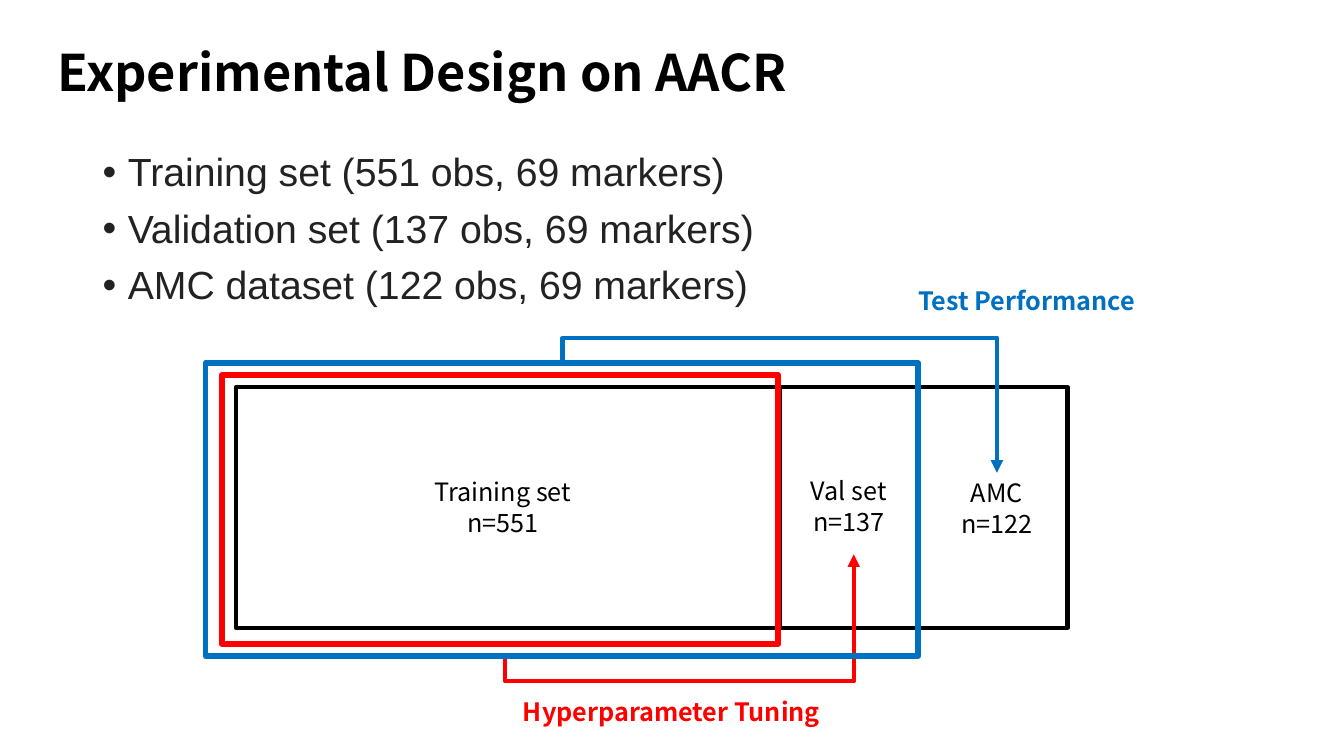
from dataclasses import dataclass

from lxml.etree import SubElement
from pptx import Presentation
from pptx.dml.color import RGBColor
from pptx.enum.shapes import MSO_CONNECTOR as CXN, MSO_SHAPE as SHAPE
from pptx.enum.text import MSO_ANCHOR as ANCHOR, MSO_AUTO_SIZE as AUTO, PP_ALIGN as ALIGN
from pptx.oxml.ns import qn
from pptx.util import Inches, Pt

COLS, ROWS = 160, 90
CELL = Inches(7.5) / ROWS


@dataclass(frozen=True)
class Theme:
    black: str = "000000"
    body: str = "222222"
    tuning: str = "FF0000"
    testing: str = "0070C0"
    sans: str = "Noto Sans CJK KR"
    body_font: str = "Arial"
    title_size: int = 36
    body_size: int = 28
    label_size: int = 18
    line: int = 3
    frame: int = 4


T = Theme()


def grid(*cells):
    return [round(c * CELL) for c in cells]


def style_text(tf, size, color, font=T.sans, bold=False, align=ALIGN.LEFT):
    for p in tf.paragraphs:
        p.alignment = align
        for r in p.runs:
            r.font.size = Pt(size)
            r.font.name = font
            r.font.bold = bold
            r.font.color.rgb = RGBColor.from_string(color)


def add_title(slide, text, box):
    sp = slide.shapes.title
    sp.left, sp.top, sp.width, sp.height = grid(*box)
    tf = sp.text_frame
    tf.text = text
    tf.auto_size = AUTO.NONE
    tf.vertical_anchor = ANCHOR.MIDDLE
    tf.paragraphs[0].line_spacing = 0.9
    style_text(tf, T.title_size, T.black, bold=True)


def add_text(slide, text, box, size=T.label_size, color=T.black, **style):
    tf = slide.shapes.add_textbox(*grid(*box)).text_frame
    tf.word_wrap = True
    tf.text = text
    style_text(tf, size, color, **style)
    return tf


def add_bullets(slide, items, box):
    tf = add_text(slide, "\n".join(items), box, T.body_size, T.body, font=T.body_font)
    for p in tf.paragraphs:
        p.line_spacing = 0.9
        p.space_before = Pt(10)
        pPr = p._p.get_or_add_pPr()
        pPr.set("marL", str(Inches(0.25)))
        pPr.set("indent", str(-Inches(0.25)))
        SubElement(pPr, qn("a:buFont"), typeface="Arial")
        SubElement(pPr, qn("a:buChar"), char="•")


def add_frame(slide, box, color, width):
    sp = slide.shapes.add_shape(SHAPE.RECTANGLE, *grid(*box))
    sp.shadow.inherit = False
    sp.fill.background()
    sp.line.color.rgb = RGBColor.from_string(color)
    sp.line.width = Pt(width)


def add_line(slide, start, end, color, kind=CXN.STRAIGHT):
    cxn = slide.shapes.add_connector(kind, *grid(*start, *end))
    cxn.line.color.rgb = RGBColor.from_string(color)
    cxn.line.width = Pt(T.line)
    SubElement(cxn._element.spPr, qn("a:effectLst"))
    return cxn


def add_bent_arrow(slide, start, end, bulge, color):
    cxn = add_line(slide, start, end, color, CXN.ELBOW)
    (x1, y1), (x2, y2) = start, end
    upward = y2 < y1
    w, h = abs(x2 - x1), abs(y2 - y1)
    cxn.left, cxn.top, cxn.width, cxn.height = grid(
        (x1 + x2 - h) / 2, (y1 + y2 - w) / 2, h, w)
    spPr = cxn._element.spPr
    xfrm = spPr.find(qn("a:xfrm"))
    xfrm.set("rot", str((90 if upward else 270) * 60000))
    xfrm.set("flipH", "1")
    xfrm.set("flipV", "1" if upward else "0")
    avLst = spPr.find(qn("a:prstGeom")).find(qn("a:avLst"))
    SubElement(avLst, qn("a:gd"), name="adj1", fmla=f"val {round(-bulge / h * 100000)}")
    SubElement(cxn.line._get_or_add_ln(), qn("a:tailEnd"), type="triangle")


def main():
    prs = Presentation()
    prs.slide_width, prs.slide_height = grid(COLS, ROWS)
    slide = prs.slides.add_slide(prs.slide_layouts[5])

    add_title(slide, "Experimental Design on AACR", (5.64, 0.24, 138, 17.4))
    add_bullets(slide, [
        "Training set (551 obs, 69 markers)",
        "Validation set (137 obs, 69 markers)",
        "AMC dataset (122 obs, 69 markers)",
    ], (11.04, 17.64, 138, 57.12))

    top, height = 46.08, 28.68
    add_frame(slide, (28.08, top, 99, height), T.black, T.line)
    for x, y in ((92.88, top - 0.24), (109.32, top)):
        add_line(slide, (x, y), (x, y + height), T.black)
    for text, x, y in (
        ("Training set\nn=551", 49.32, 56.16),
        ("Val set\nn=137", 90.48, 56.04),
        ("AMC\nn=122", 108.12, 56.28),
    ):
        add_text(slide, text, (x, y, 21.12, 8.52), align=ALIGN.CENTER)

    bulge = 3
    for frame, start, end, color in (
        ((26.4, 44.64, 66.24, 32.04), (60.12, 78.12), (101.64, 66), T.tuning),
        ((24.48, 43.2, 84.84, 34.92), (66.96, 43.2), (118.68, 56.28), T.testing),
    ):
        add_frame(slide, frame, color, T.frame)
        add_bent_arrow(slide, start, end, bulge, color)

    for text, box, color in (
        ("Hyperparameter Tuning", (61.08, 82.32, 80.04, 4.8), T.tuning),
        ("Test Performance", (108.12, 33.36, 40.92, 4.8), T.testing),
    ):
        add_text(slide, text, box, color=color, bold=True)

    prs.save("out.pptx")


if __name__ == "__main__":
    main()
